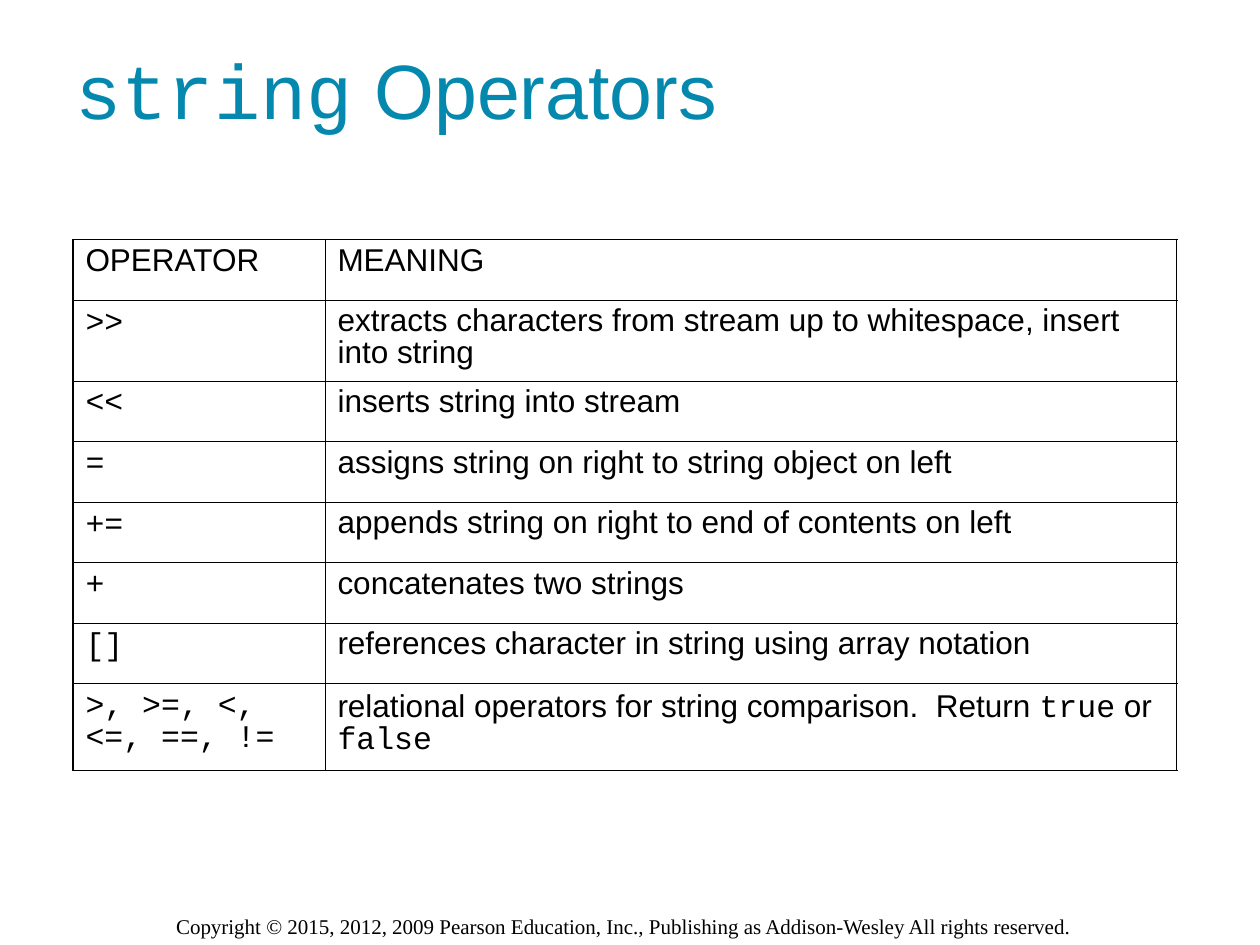
import pptx
import pptx.dml.color
import pptx.enum.text
import pptx.oxml
import pptx.oxml.ns
import pptx.util

Cm = pptx.util.Cm
Pt = pptx.util.Pt

COLORS = {"title": "0488AE", "text": "000000"}
SANS, CODE, SERIF = "Arial", "Courier New", "Times New Roman"

TITLE = [("string", CODE), (" Operators", SANS)]
COPYRIGHT = ("Copyright © 2015, 2012, 2009 Pearson Education, Inc., "
             "Publishing as Addison-Wesley All rights reserved.")

# Each row: lines of the operator cell, then runs of the meaning cell
HEADER = ("OPERATOR", "MEANING")
OPERATORS = [
    ([">>"], [("extracts characters from stream up to whitespace, insert into string", SANS)]),
    (["<<"], [("inserts string into stream", SANS)]),
    (["="], [("assigns string on right to string object on left", SANS)]),
    (["+="], [("appends string on right to end of contents on left", SANS)]),
    (["+"], [("concatenates two strings", SANS)]),
    (["[]"], [("references character in string using array notation", SANS)]),
    ([">, >=, <,", "<=, ==, !="],
     [("relational operators for string comparison.  Return ", SANS), ("true", CODE),
      (" or ", SANS), ("false", CODE)]),
]

COLUMN_WIDTHS = [5.08, 17.17]
ROW_HEIGHTS = [1.22, 1.63] + [1.22] * 5 + [1.75]
OUTER_LINE, INNER_LINE = Pt(1.08), Pt(0.45)


def write_text(frame, paragraphs, size, color, spacing=None):
    """Fill a text frame with paragraphs, each a list of (text, font) runs."""
    for index, runs in enumerate(paragraphs):
        para = frame.paragraphs[0] if index == 0 else frame.add_paragraph()
        para.alignment = pptx.enum.text.PP_ALIGN.LEFT
        if spacing:
            para.line_spacing = spacing
        for text, font in runs:
            span = para.add_run()
            span.text = text
            span.font.name = font
            span.font.size = Pt(size)
            span.font.color.rgb = pptx.dml.color.RGBColor.from_string(COLORS[color])


def set_borders(cell, widths):
    """Draw cell edges; widths maps L, R, T and B to line widths."""
    properties = cell._tc.get_or_add_tcPr()
    for position, (side, width) in enumerate(widths.items()):
        line = pptx.oxml.parse_xml(
            f'<a:ln{side} {pptx.oxml.ns.nsdecls("a")} w="{width}"><a:solidFill>'
            f'<a:srgbClr val="{COLORS["text"]}"/></a:solidFill></a:ln{side}>')
        properties.insert(position, line)


def add_operator_table(page):
    rows = [[[[(text, SANS)]] for text in HEADER]]
    rows += [[[[(line, CODE)] for line in lines], [meaning]] for lines, meaning in OPERATORS]
    table = page.shapes.add_table(len(rows), len(COLUMN_WIDTHS), Cm(1.47), Cm(4.83),
                                  Cm(sum(COLUMN_WIDTHS)), Cm(sum(ROW_HEIGHTS))).table
    table.first_row = table.horz_banding = False
    for column, width in zip(table.columns, COLUMN_WIDTHS):
        column.width = Cm(width)
    last_row, last_column = len(rows) - 1, len(COLUMN_WIDTHS) - 1
    for r, cells in enumerate(rows):
        table.rows[r].height = Cm(ROW_HEIGHTS[r])
        for c, paragraphs in enumerate(cells):
            cell = table.cell(r, c)
            cell.fill.background()
            write_text(cell.text_frame, paragraphs, size=18, color="text", spacing=0.9)
            on_edge = {"L": c == 0, "R": c == last_column, "T": r == 0, "B": r == last_row}
            set_borders(cell, {side: OUTER_LINE if edge else INNER_LINE
                               for side, edge in on_edge.items()})


def main():
    deck = pptx.Presentation()
    deck.slide_width, deck.slide_height = Cm(25.4), Cm(19.05)
    page = deck.slides.add_slide(deck.slide_layouts[5])

    footer = page.shapes.add_textbox(Cm(3.3), Cm(18.29), Cm(18.85), Cm(0.76))
    footer.text_frame.word_wrap = True
    write_text(footer.text_frame, [[(COPYRIGHT, SERIF)]], size=12, color="text")

    title = page.shapes.title
    title.left, title.top, title.width, title.height = Cm(1.27), Cm(0.2), Cm(21.16), Cm(3.18)
    title.text_frame.vertical_anchor = pptx.enum.text.MSO_ANCHOR.MIDDLE
    write_text(title.text_frame, [TITLE], size=44, color="title")

    add_operator_table(page)
    deck.save("out.pptx")


if __name__ == "__main__":
    main()
